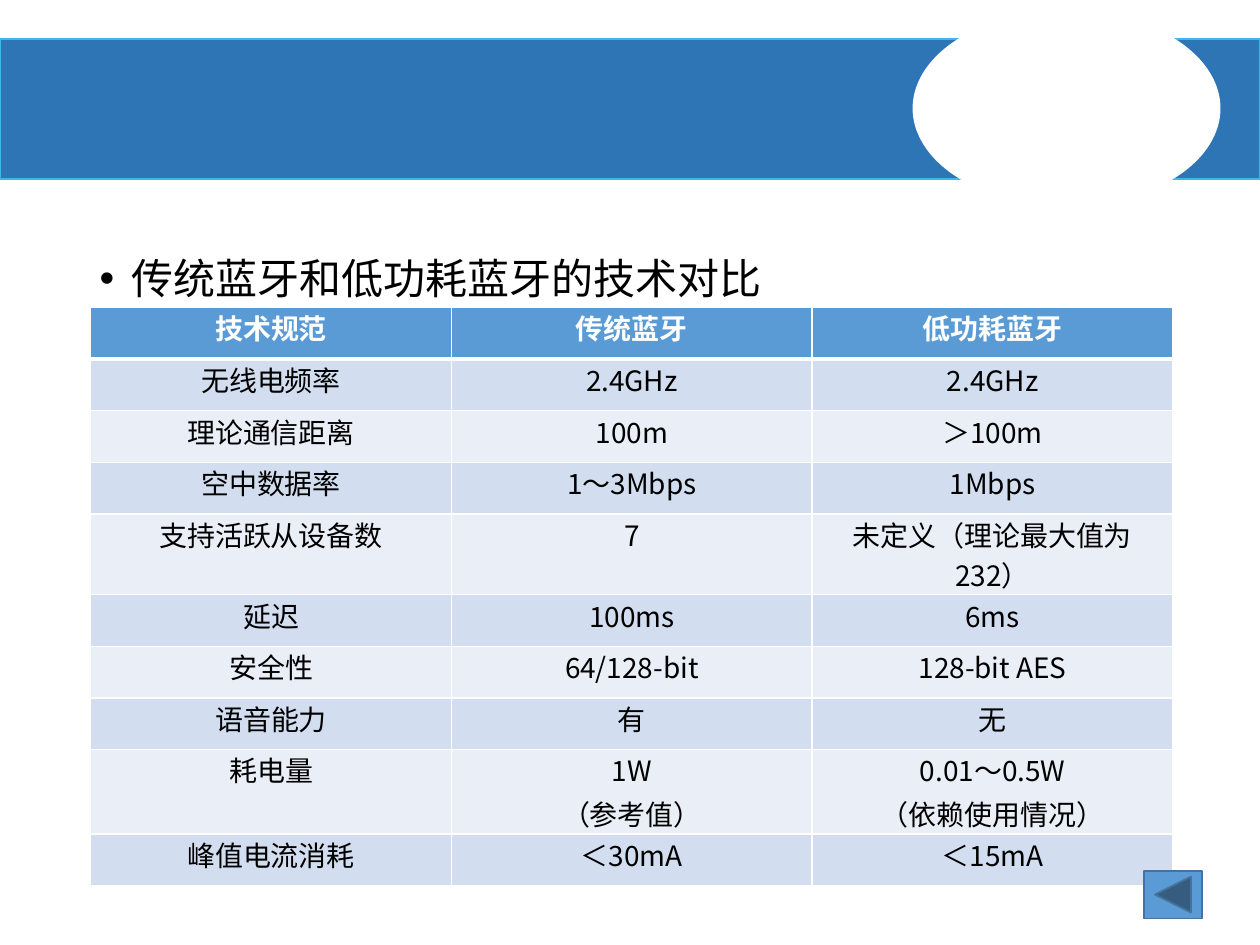
from pptx import Presentation
from pptx.dml.color import RGBColor as Rgb
from pptx.enum.shapes import MSO_SHAPE as Shape
from pptx.enum.text import MSO_AUTO_SIZE as AutoSize, PP_ALIGN as Align
from pptx.oxml import parse_xml
from pptx.oxml.ns import nsdecls
from pptx.util import Emu, Inches, Pt

COLORS = {"white": "FFFFFF", "black": "000000", "banner": "2E75B6",
          "banner_edge": "3BB8E6", "header": "5B9BD5", "odd": "D2DEEF",
          "even": "EAEFF7", "button_edge": "43739E"}
FONT = "Noto Sans CJK SC"
ROWS = [
    ("技术规范", "传统蓝牙", "低功耗蓝牙"),
    ("无线电频率", "2.4GHz", "2.4GHz"),
    ("理论通信距离", "100m", "＞100m"),
    ("空中数据率", "1～3Mbps", "1Mbps"),
    ("支持活跃从设备数", "7", "未定义（理论最大值为232）"),
    ("延迟", "100ms", "6ms"),
    ("安全性", "64/128-bit", "128-bit AES"),
    ("语音能力", "有", "无"),
    ("耗电量", "1W\n（参考值）", "0.01～0.5W\n（依赖使用情况）"),
    ("峰值电流消耗", "＜30mA", "＜15mA"),
]


def write(para, text, size, color, bold=False):
    span = para.add_run()
    span.text = text
    for name, value in {"name": FONT, "size": Pt(size), "bold": bold}.items():
        setattr(span.font, name, value)
    span.font.color.rgb = Rgb.from_string(COLORS[color])
    span.font._element.append(
        parse_xml(f'<a:ea {nsdecls("a")} typeface="{FONT}"/>'))


deck = Presentation()
deck.slide_width, deck.slide_height = Inches(10), Inches(7.5)
page = deck.slides.add_slide(deck.slide_layouts[1])

# Banner with its oval cut-out, and the back button
shapes = {}
for kind, place, fill, edge in [
    (Shape.RECTANGLE, (0, 0.31, 10, 1.11), "banner", "banner_edge"),
    (Shape.OVAL, (7.25, 0.09, 2.43, 1.54), "white", "white"),
    (Shape.ACTION_BUTTON_BACK_OR_PREVIOUS, (9.08, 6.91, 0.46, 0.38),
     "header", "button_edge"),
]:
    shape = page.shapes.add_shape(kind, *map(Inches, place))
    shape.shadow.inherit = False
    shape.fill.solid()
    shape.fill.fore_color.rgb = Rgb.from_string(COLORS[fill])
    shape.line.color.rgb = Rgb.from_string(COLORS[edge])
    shape.line.width = Pt(1)
    shapes[kind] = shape

# Bulleted heading in the body placeholder
title = page.shapes.title
title._element.getparent().remove(title._element)
body = page.placeholders[1]
for name, value in {"left": 0.69, "top": 2, "width": 8.62, "height": 4.76}.items():
    setattr(body, name, Inches(value))
body.text_frame.auto_size = AutoSize.NONE
para = body.text_frame.paragraphs[0]
para.line_spacing, para.space_before = 0.9, Pt(10)
props = para._p.get_or_add_pPr()
props.set("marL", str(Inches(0.25)))
props.set("indent", str(-Inches(0.25)))
props.append(parse_xml(f'<a:buFont {nsdecls("a")} typeface="Arial"/>'))
props.append(parse_xml(f'<a:buChar {nsdecls("a")} char="•"/>'))
write(para, "传统蓝牙和低功耗蓝牙的技术对比", 24, "black")

# Comparison table
width, row_height = Inches(8.59), Inches(0.41)
frame = page.shapes.add_table(len(ROWS), 3, Inches(0.72), Inches(2.44),
                              width, row_height * len(ROWS))
table = frame.table
for column in table.columns:
    column.width = Emu(width // 3)
for r, texts in enumerate(ROWS):
    table.rows[r].height = row_height
    band = "header" if r == 0 else "odd" if r % 2 else "even"
    for c, text in enumerate(texts):
        cell = table.cell(r, c)
        for side, inset in {"left": 0.07, "right": 0.07, "top": 0, "bottom": 0}.items():
            setattr(cell, f"margin_{side}", Inches(inset))
        cell.fill.solid()
        cell.fill.fore_color.rgb = Rgb.from_string(COLORS[band])
        for i, side in enumerate("LRTB"):
            thick = (r == 0 and side == "B") or (r == 1 and side == "T")
            cell._tc.get_or_add_tcPr().insert(i, parse_xml(
                f'<a:ln{side} {nsdecls("a")} w="{Pt(3 if thick else 1)}">'
                f'<a:solidFill><a:srgbClr val="{COLORS["white"]}"/></a:solidFill>'
                f'</a:ln{side}>'))
        for i, line in enumerate(text.split("\n")):
            para = cell.text_frame.add_paragraph() if i else cell.text_frame.paragraphs[0]
            para.alignment, para.space_after = Align.CENTER, Pt(2)
            write(para, line, 16, "black" if r else "white", r == 0)

# The button lies over the corner of the table
page.shapes._spTree.append(shapes[Shape.ACTION_BUTTON_BACK_OR_PREVIOUS]._element)

deck.save("out.pptx")
